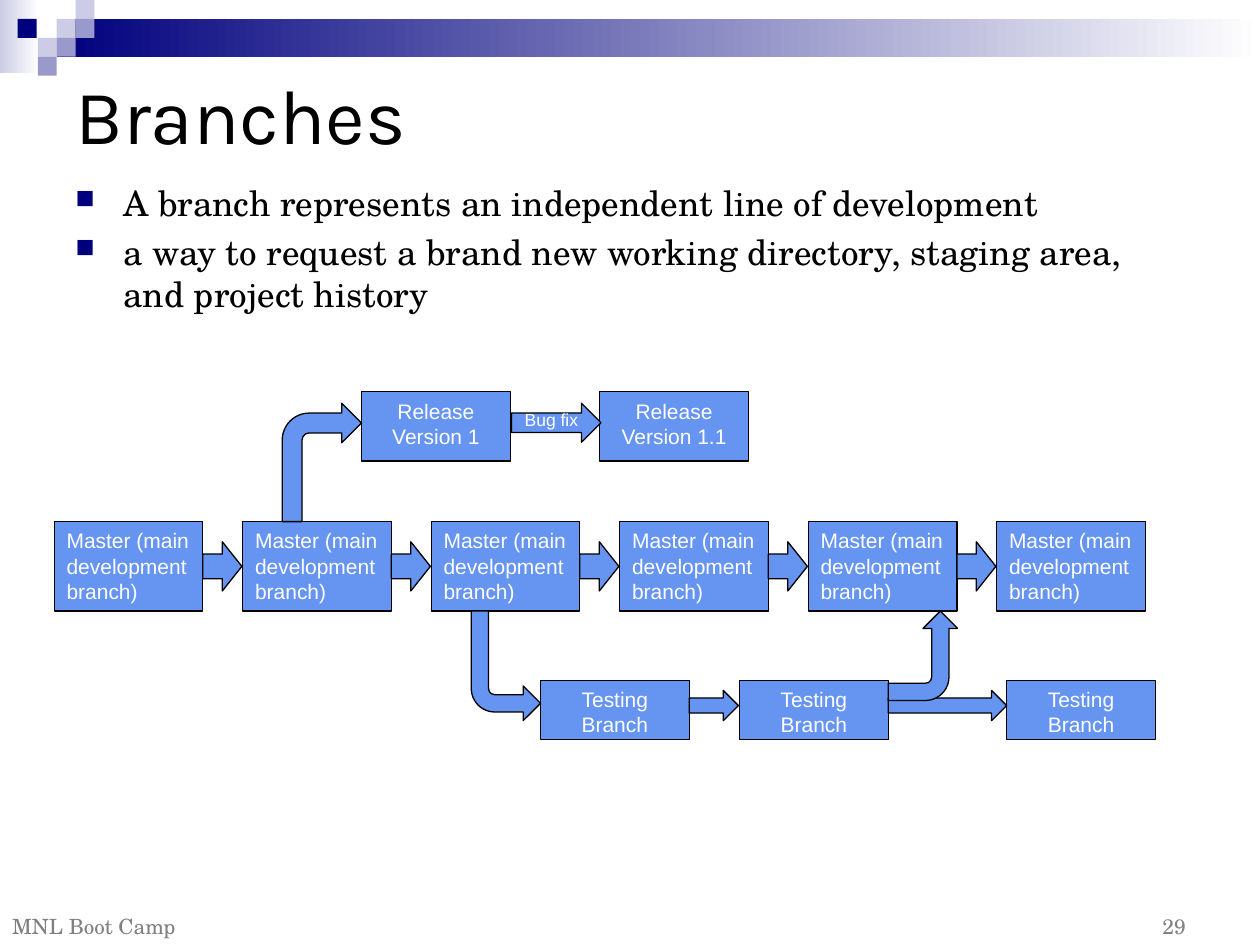
"""Build the slide on branches in version control."""
from lxml.etree import SubElement
from pptx import Presentation
from pptx.dml.color import RGBColor
from pptx.enum.shapes import MSO_SHAPE
from pptx.enum.text import MSO_ANCHOR, PP_ALIGN
from pptx.oxml.ns import qn
from pptx.util import Inches, Pt

COLORS = {"navy": "00007D", "violet": "9999CC", "lilac": "CCCCE6", "white": "FFFFFF",
          "blue": "6594F1", "black": "000000", "gray": "808080"}
SERIF = "TeX Gyre Schola"

presentation = Presentation()
presentation.slide_width, presentation.slide_height = Inches(10), Inches(7.5)
slide = presentation.slides.add_slide(presentation.slide_layouts[6])


def add_shape(kind, box, color="blue", outlined=True):
    shape = slide.shapes.add_shape(kind, *map(Inches, box))
    shape.shadow.inherit = False
    shape.fill.solid()
    shape.fill.fore_color.rgb = RGBColor.from_string(COLORS[color])
    if outlined:
        shape.line.color.rgb = RGBColor.from_string(COLORS["black"])
        shape.line.width = Pt(0.75)
    else:
        shape.line.fill.background()
    return shape


def write(shape, lines, size, font, color, align=PP_ALIGN.LEFT, anchor=MSO_ANCHOR.TOP):
    frame = shape.text_frame
    frame.word_wrap = True
    frame.vertical_anchor = anchor
    frame.text = "\n".join(lines)
    for paragraph in frame.paragraphs:
        paragraph.alignment = align
        paragraph.font.size = Pt(size)
        paragraph.font.name = font
        paragraph.font.color.rgb = RGBColor.from_string(COLORS[color])
    return frame


for box, start in [((0, 0, 0.31, 0.58), "lilac"), ((0.45, 0.15, 9.55, 0.3), "navy")]:
    band = add_shape(MSO_SHAPE.RECTANGLE, box, outlined=False)
    band.fill.gradient()
    band.fill.gradient_angle = 0
    for stop, position, color in zip(band.fill.gradient_stops, (0, 1), (start, "white")):
        stop.position = position
        stop.color.rgb = RGBColor.from_string(COLORS[color])

for left, top, color in [(0.45, 0.15, "lilac"), (0.6, 0, "lilac"), (0.6, 0.15, "violet"),
                         (0.3, 0.3, "lilac"), (0.14, 0.15, "navy"), (0.45, 0.3, "violet"),
                         (0.3, 0.45, "violet")]:
    add_shape(MSO_SHAPE.RECTANGLE, (left, top, 0.15, 0.15), color, outlined=False)

title = slide.shapes.add_textbox(Inches(0.5), Inches(0.5), Inches(9), Inches(0.81))
write(title, ["Branches"], 44, "Karla", "black", anchor=MSO_ANCHOR.MIDDLE)

body = slide.shapes.add_textbox(Inches(0.5), Inches(1.39), Inches(9), Inches(1.34))
body_frame = write(body, [
    "A branch represents an independent line of development",
    "a way to request a brand new working directory, staging area, and project history",
], 20, SERIF, "black")
for paragraph in body_frame.paragraphs:
    paragraph.space_before = Pt(4)
    properties = paragraph._p.get_or_add_pPr()
    properties.set("marL", str(Inches(0.38)))
    properties.set("indent", str(-Inches(0.38)))
    bullet_color = SubElement(properties, qn("a:buClr"))
    SubElement(bullet_color, qn("a:srgbClr"), val=COLORS["navy"])
    SubElement(properties, qn("a:buSzPct"), val="75000")
    SubElement(properties, qn("a:buChar"), char="■")

master_step = 1.496
master_lefts = [0.43 + master_step * index for index in range(6)]
boxes = [(left, 4.14, 0.71, ["Master (main development branch)"], PP_ALIGN.LEFT)
         for left in master_lefts]
boxes += [(left, 3.11, 0.55, ["Release", version], PP_ALIGN.CENTER)
          for left, version in [(2.87, "Version 1"), (4.76, "Version 1.1")]]
boxes += [(left, 5.4, 0.47, ["Testing Branch"], PP_ALIGN.CENTER)
          for left in (4.29, 5.87, 7.99)]
for left, top, height, lines, align in boxes:
    process = add_shape(MSO_SHAPE.FLOWCHART_PROCESS, (left, top, 1.18, height))
    write(process, lines, 12, "Arial", "white", align)

arrows = [(left + 1.18, 4.3, 0.31, 0.39) for left in master_lefts[:-1]]
arrows += [(7.05, 5.48, 0.94, 0.24), (5.47, 5.48, 0.39, 0.24)]
for box in arrows:
    add_shape(MSO_SHAPE.RIGHT_ARROW, box)

bug_fix = add_shape(MSO_SHAPE.RIGHT_ARROW, (4.06, 3.2, 0.71, 0.31))
bug_fix_frame = write(bug_fix, ["Bug fix"], 10, "Arial", "white", PP_ALIGN.CENTER)
bug_fix_frame.margin_left = bug_fix_frame.margin_right = 0
bug_fix_frame.margin_top = bug_fix_frame.margin_bottom = 0
bug_fix_frame.paragraphs[0].line_spacing = Pt(10)

for box, flipped, rotation in [((2.24, 3.2, 0.63, 0.94), False, 0),
                               ((3.74, 4.85, 0.55, 0.87), True, 0),
                               ((6.97, 4.93, 0.71, 0.55), True, 270)]:
    bent_arrow = add_shape(MSO_SHAPE.BENT_ARROW, box)
    for index, value in enumerate((0.25, 0.25, 0.25, 0.34)):
        bent_arrow.adjustments[index] = value
    bent_arrow.rotation = rotation
    if flipped:
        bent_arrow._element.spPr.find(qn("a:xfrm")).set("flipV", "1")

for box, text, align in [((7.18, 7.15, 2.33, 0.35), "29", PP_ALIGN.RIGHT),
                         ((-0.04, 7.14, 1.57, 0.36), "MNL Boot Camp", PP_ALIGN.CENTER)]:
    footer = slide.shapes.add_textbox(*map(Inches, box))
    write(footer, [text], 12, SERIF, "gray", align, MSO_ANCHOR.BOTTOM)

presentation.save("out.pptx")
